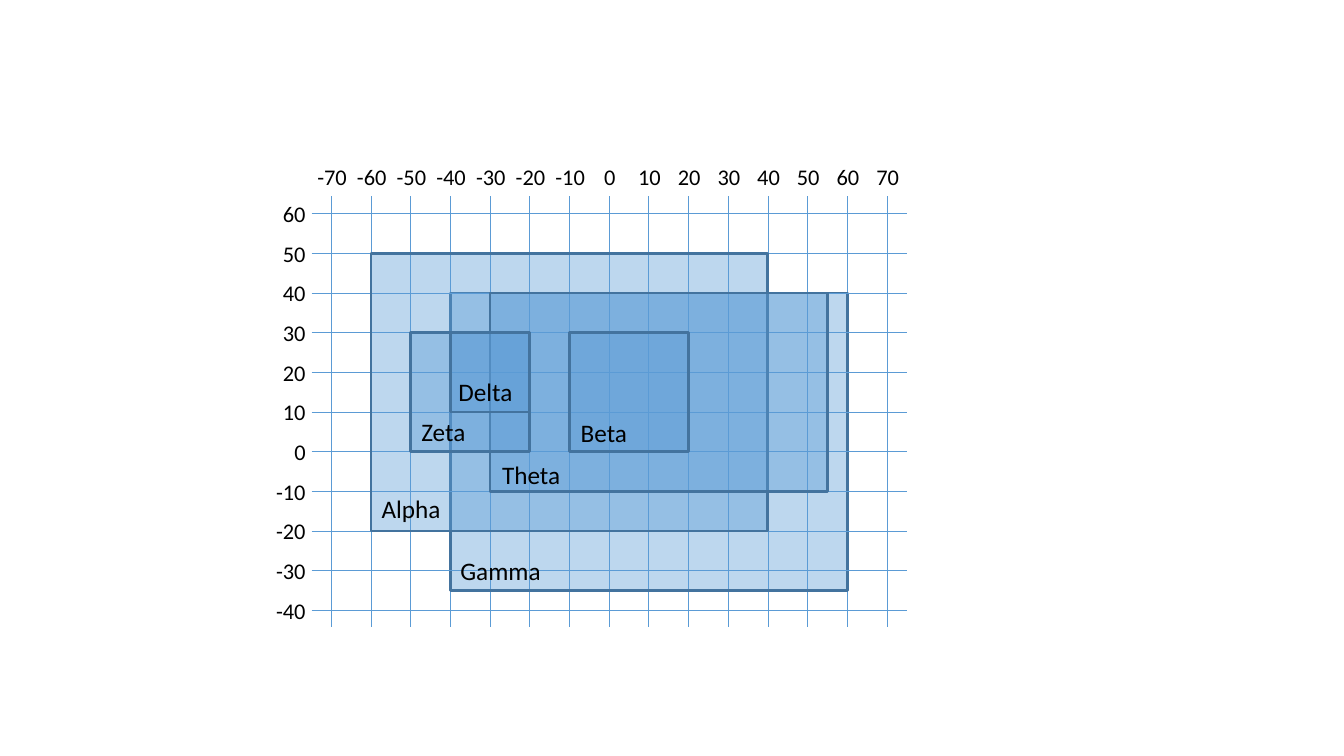
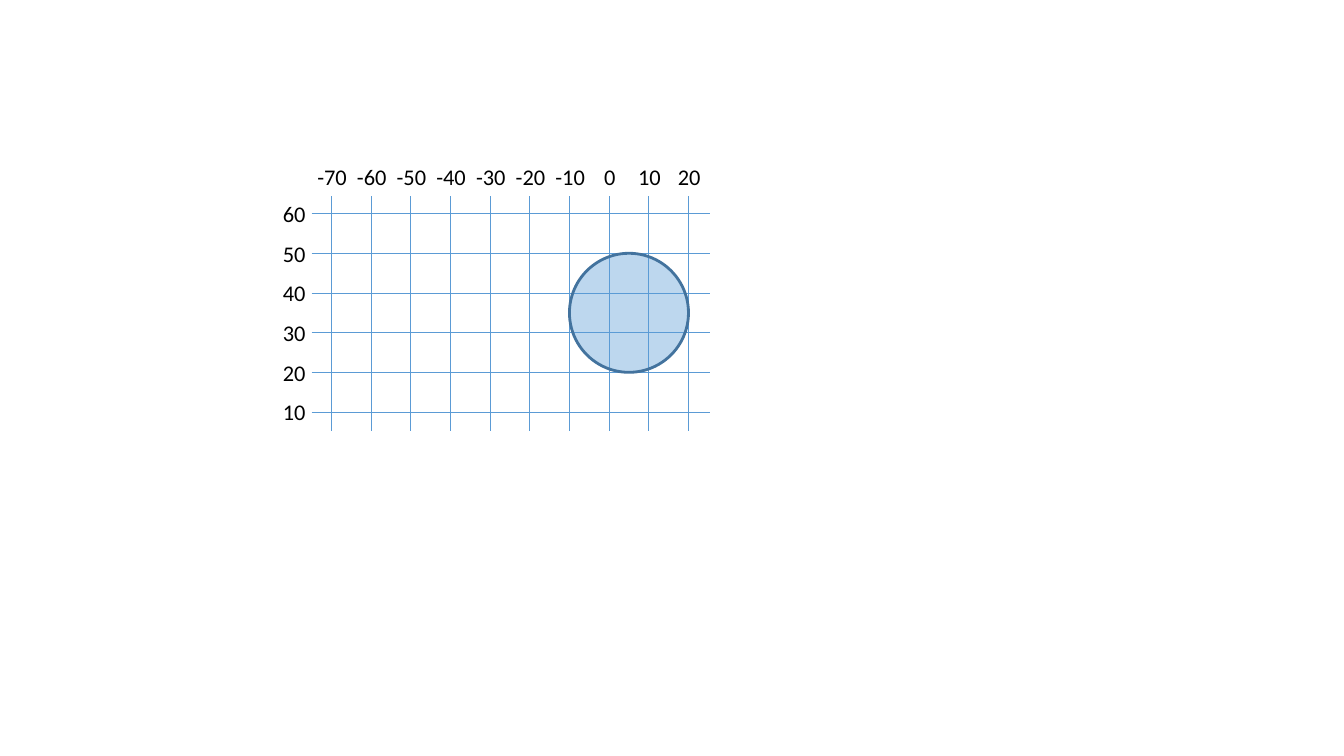
from dataclasses import dataclass

from lxml import etree
from pptx import Presentation
from pptx import util as u
from pptx.dml.color import RGBColor
from pptx.enum import shapes, text
from pptx.oxml import ns

PX = 6000  # EMU in one px, so that ten units on the axes are 60 px
WIDE, HIGH = 2032, 1143
STEP = 60


@dataclass(frozen=True)
class Theme:
    font: str = "Calibri"
    ink: str = "000000"
    fill: str = "5B9BD5"
    edge: str = "43739E"
    alpha: int = 40
    tick: int = 16
    name: int = 18
    thin: float = 0.5
    thick: float = 2


@dataclass(frozen=True)
class Area:
    left: int
    top: int
    right: int
    bottom: int
    name: str = ""
    nudge: tuple = (0, 0)


@dataclass(frozen=True)
class Plot:
    """A box in px, with the values its grid lines stand for."""
    left: int
    top: int
    width: int
    height: int
    cols: range
    rows: range

    def x(self, value):
        return self.left + 30 + (value - self.cols[0]) * STEP // 10

    def y(self, value):
        return self.top + 26 + (self.rows[0] - value) * STEP // 10


THEME = Theme()
RECT = shapes.MSO_SHAPE.RECTANGLE
OVAL = shapes.MSO_SHAPE.OVAL
LEFT, MID, RIGHT = text.PP_ALIGN.LEFT, text.PP_ALIGN.CENTER, text.PP_ALIGN.RIGHT


def emu(*sizes):
    return [u.Emu(size * PX) for size in sizes]


def color(code):
    return RGBColor.from_string(code)


# Basic parts
def label(slide, words, box, size, align):
    frame = slide.shapes.add_textbox(*emu(*box)).text_frame
    frame.word_wrap = True
    frame.auto_size = text.MSO_AUTO_SIZE.SHAPE_TO_FIT_TEXT
    frame.text = words
    para = frame.paragraphs[0]
    para.alignment = align
    font = para.runs[0].font
    font.name, font.size = THEME.font, u.Pt(size)
    font.color.rgb = color(THEME.ink)


def lines(slide, ends):
    group = slide.shapes.add_group_shape()
    for end in ends:
        line = group.shapes.add_connector(shapes.MSO_CONNECTOR.STRAIGHT, *emu(*end))
        line.line.color.rgb = color(THEME.fill)
        line.line.width = u.Pt(THEME.thin)
        etree.SubElement(line._element.spPr, ns.qn("a:effectLst"))


def patch(slide, plot, area, kind):
    x, y = plot.x(area.left), plot.y(area.top)
    box = emu(x, y, plot.x(area.right) - x, plot.y(area.bottom) - y)
    shape = slide.shapes.add_shape(kind, *box)
    shape.shadow.inherit = False
    shape.fill.solid()
    shape.fill.fore_color.rgb = color(THEME.fill)
    tint = shape._element.spPr.find(".//" + ns.qn("a:srgbClr"))
    etree.SubElement(tint, ns.qn("a:alpha"), val=str(THEME.alpha * 1000))
    shape.line.color.rgb = color(THEME.edge)
    shape.line.width = u.Pt(THEME.thick)


# Regions of a plot
def uprights(slide, plot):
    base = plot.top + plot.height
    lines(slide, [(plot.x(v), plot.top, plot.x(v), base) for v in plot.cols])


def levels(slide, plot):
    end = plot.left + plot.width
    lines(slide, [(plot.left, plot.y(v), end, plot.y(v)) for v in plot.rows])


def ticks(slide, plot):
    for v in plot.cols:
        box = (plot.x(v) - 44, plot.top - 58, 90, 56)
        label(slide, str(v), box, THEME.tick, MID)
    for v in plot.rows:
        box = (plot.left - 84, plot.y(v) - 28, 90, 56)
        label(slide, str(v), box, THEME.tick, RIGHT)


def names(slide, plot, areas):
    for area in areas:
        dx, dy = area.nudge
        box = (plot.x(area.left) + dx, plot.y(area.bottom) - 61 + dy, 160, 61)
        label(slide, area.name, box, THEME.name, LEFT)


def chart(slide, plot, back, front, kind):
    """Areas in back lie under the level lines, those in front over them."""
    uprights(slide, plot)
    for area in back:
        patch(slide, plot, area, kind)
    levels(slide, plot)
    ticks(slide, plot)
    for area in front:
        patch(slide, plot, area, kind)
    names(slide, plot, [area for area in back + front if area.name])


def main():
    deck = Presentation()
    deck.slide_width, deck.slide_height = emu(WIDE, HIGH)
    blank = deck.slide_layouts[6]

    # Overlapping rectangles
    plot = Plot(471, 297, 901, 651, range(-70, 71, 10), range(60, -41, -10))
    back = [Area(-40, 40, 60, -35, "Gamma")]
    front = [
        Area(-60, 50, 40, -20, "Alpha", (1, -3)),
        Area(-30, 40, 55, -10, "Theta", (3, 5)),
        Area(-10, 30, 20, 0, "Beta", (2, 1)),
        Area(-50, 30, -20, 0, "Zeta", (1, 0)),
        Area(-40, 30, -20, 10, "Delta", (-3, 0)),
    ]
    chart(deck.slides.add_slide(blank), plot, back, front, RECT)

    # One circle
    plot = Plot(471, 297, 603, 354, range(-70, 21, 10), range(60, 9, -10))
    chart(deck.slides.add_slide(blank), plot, [], [Area(-10, 50, 20, 20)], OVAL)

    deck.save("out.pptx")


if __name__ == "__main__":
    main()
